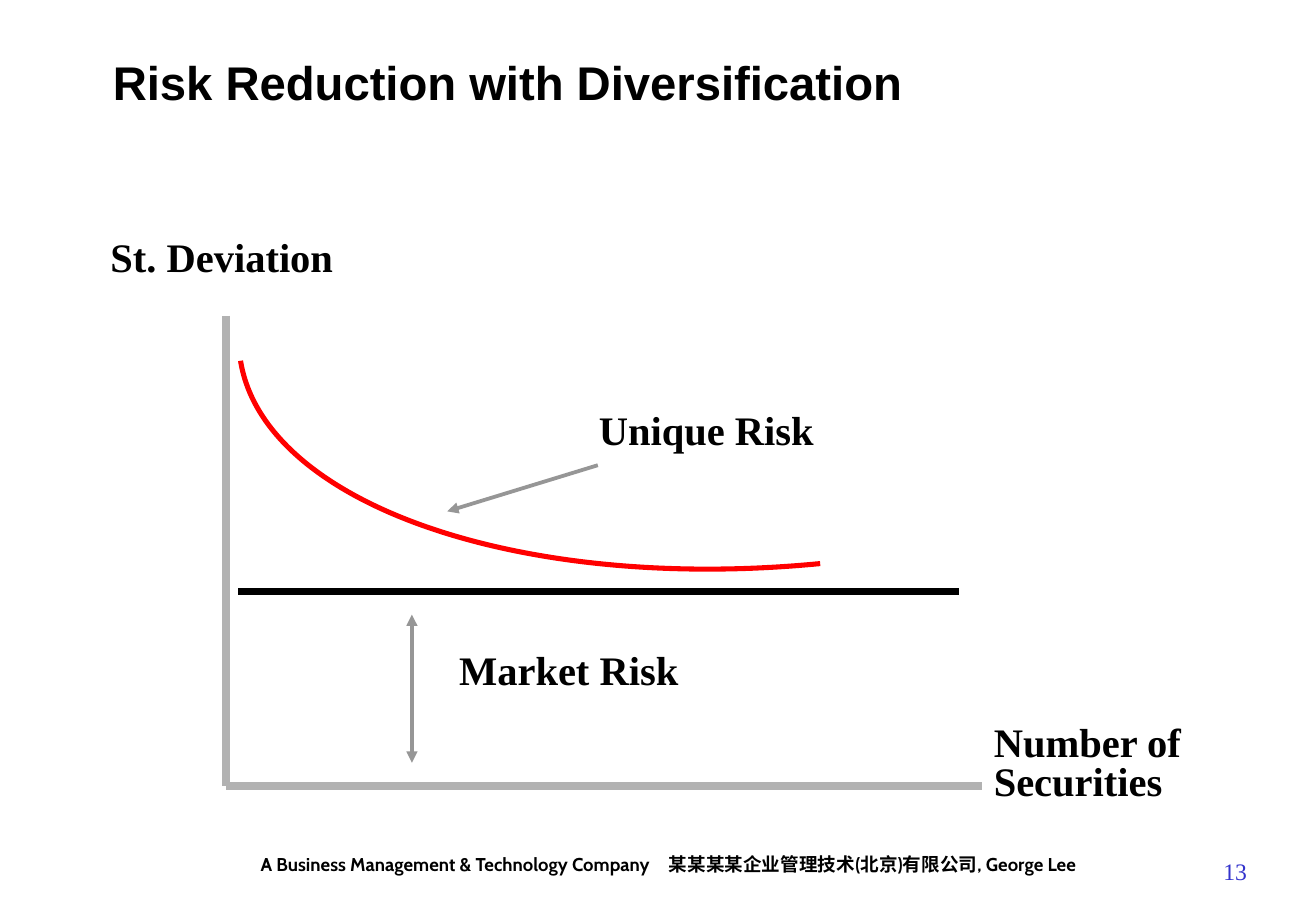
import dataclasses
import typing

import lxml.etree
import pptx
import pptx.dml.color
import pptx.enum.shapes
import pptx.enum.text
import pptx.oxml.ns
import pptx.presentation
import pptx.slide
import pptx.util

Inches = pptx.util.Inches
Align = pptx.enum.text.PP_ALIGN
Anchor = pptx.enum.text.MSO_ANCHOR
Point = tuple[float, float]


@dataclasses.dataclass(frozen=True)
class Theme:
    ink: str = "000000"
    axis: str = "B2B2B2"
    arrow: str = "969696"
    curve: str = "FF0000"
    number: str = "3333CC"
    title_font: str = "Arial"
    label_font: str = "Times New Roman"
    footer_font: str = "Cabin"
    title_size: float = 28
    label_size: float = 24
    number_size: float = 14
    footer_size: float = 11
    thick: float = 4.5
    medium: float = 3
    thin: float = 2.25


THEME = Theme()


@dataclasses.dataclass(frozen=True)
class Label:
    text: str
    left: float
    top: float
    width: float
    height: float
    font: str = THEME.label_font
    size: float = THEME.label_size
    color: str = THEME.ink
    bold: bool = True
    spacing: float = 0.8
    align: Align = Align.LEFT
    anchor: Anchor = Anchor.TOP


@dataclasses.dataclass(frozen=True)
class Line:
    start: Point
    end: Point
    color: str
    weight: float
    arrow_ends: tuple[str, ...] = ()


LABELS = (
    Label("A Business Management & Technology Company　某某某某企业管理技术(北京)有限公司, George Lee",
          1.5, 6.97, 8, 0.29, font=THEME.footer_font, size=THEME.footer_size,
          spacing=1, align=Align.CENTER),
    Label("Risk Reduction with Diversification", 0.83, 0.33, 9.2, 0.83,
          font=THEME.title_font, size=THEME.title_size, spacing=0.6, anchor=Anchor.MIDDLE),
    Label("Number of Securities", 8.08, 5.93, 2.39, 0.74),
    Label("St. Deviation", 0.81, 1.94, 3.63, 0.42),
    Label("Market Risk", 3.68, 5.34, 2.77, 0.42),
    Label("Unique Risk", 4.83, 3.36, 3.06, 0.42),
    Label("13", 9.5, 6.92, 1.33, 0.5, size=THEME.number_size, color=THEME.number,
          bold=False, spacing=1, align=Align.CENTER, anchor=Anchor.MIDDLE),
)

ORIGIN = (1.86, 6.47)
LINES = (
    Line((1.86, 2.6), ORIGIN, THEME.axis, THEME.thick),
    Line(ORIGIN, (8.08, 6.47), THEME.axis, THEME.thick),
    Line((1.96, 4.87), (7.89, 4.87), THEME.ink, THEME.thick),
    Line((3.39, 5.06), (3.39, 6.28), THEME.arrow, THEME.thin, ("headEnd", "tailEnd")),
    Line((4.92, 3.83), (3.68, 4.21), THEME.arrow, THEME.thin, ("tailEnd",)),
)

# Start, two control points and end of the unique risk curve
RISK_CURVE = ((1.98, 2.97), (2.17, 4.15), (4.28, 4.88), (6.75, 4.64))


def rgb(color: str) -> pptx.dml.color.RGBColor:
    return pptx.dml.color.RGBColor.from_string(color)


def add_child(parent: typing.Any, tag: str, **attributes: str) -> typing.Any:
    return lxml.etree.SubElement(parent, pptx.oxml.ns.qn(tag), attributes)


def add_label(slide: pptx.slide.Slide, label: Label) -> None:
    box = slide.shapes.add_textbox(Inches(label.left), Inches(label.top),
                                   Inches(label.width), Inches(label.height))
    frame = box.text_frame
    frame.word_wrap = True
    frame.vertical_anchor = label.anchor
    frame.text = label.text
    paragraph = frame.paragraphs[0]
    paragraph.alignment = label.align
    paragraph.line_spacing = label.spacing
    paragraph.font.name = label.font
    paragraph.font.size = pptx.util.Pt(label.size)
    paragraph.font.bold = label.bold
    paragraph.font.color.rgb = rgb(label.color)


def add_line(slide: pptx.slide.Slide, line: Line) -> None:
    connector = slide.shapes.add_connector(
        pptx.enum.shapes.MSO_CONNECTOR.STRAIGHT,
        *(Inches(value) for value in line.start + line.end))
    connector.line.color.rgb = rgb(line.color)
    connector.line.width = pptx.util.Pt(line.weight)
    properties = connector.line._get_or_add_ln()
    for arrow_end in line.arrow_ends:
        add_child(properties, f"a:{arrow_end}", type="triangle")
    add_child(connector._element.spPr, "a:effectLst")


def add_curve(slide: pptx.slide.Slide, points: tuple[Point, ...]) -> None:
    """Draw one cubic Bézier through a start, two control points and an end."""
    start, *others = [(Inches(x), Inches(y)) for x, y in points]
    builder = slide.shapes.build_freeform(*start)
    builder.add_line_segments(others, close=False)
    curve = builder.convert_to_shape()
    curve.shadow.inherit = False
    curve.fill.background()
    curve.line.color.rgb = rgb(THEME.curve)
    curve.line.width = pptx.util.Pt(THEME.medium)

    segments = list(curve._element.iter(pptx.oxml.ns.qn("a:lnTo")))
    outline = segments[0].getparent()
    bezier = add_child(outline, "a:cubicBezTo")
    for segment in segments:
        bezier.append(segment[0])
        outline.remove(segment)


def main() -> None:
    presentation = pptx.Presentation()
    presentation.slide_width = Inches(10.83)
    presentation.slide_height = Inches(7.5)
    slide = presentation.slides.add_slide(presentation.slide_layouts[6])
    for line in LINES:
        add_line(slide, line)
    add_curve(slide, RISK_CURVE)
    for label in LABELS:
        add_label(slide, label)
    presentation.save("out.pptx")


if __name__ == "__main__":
    main()
